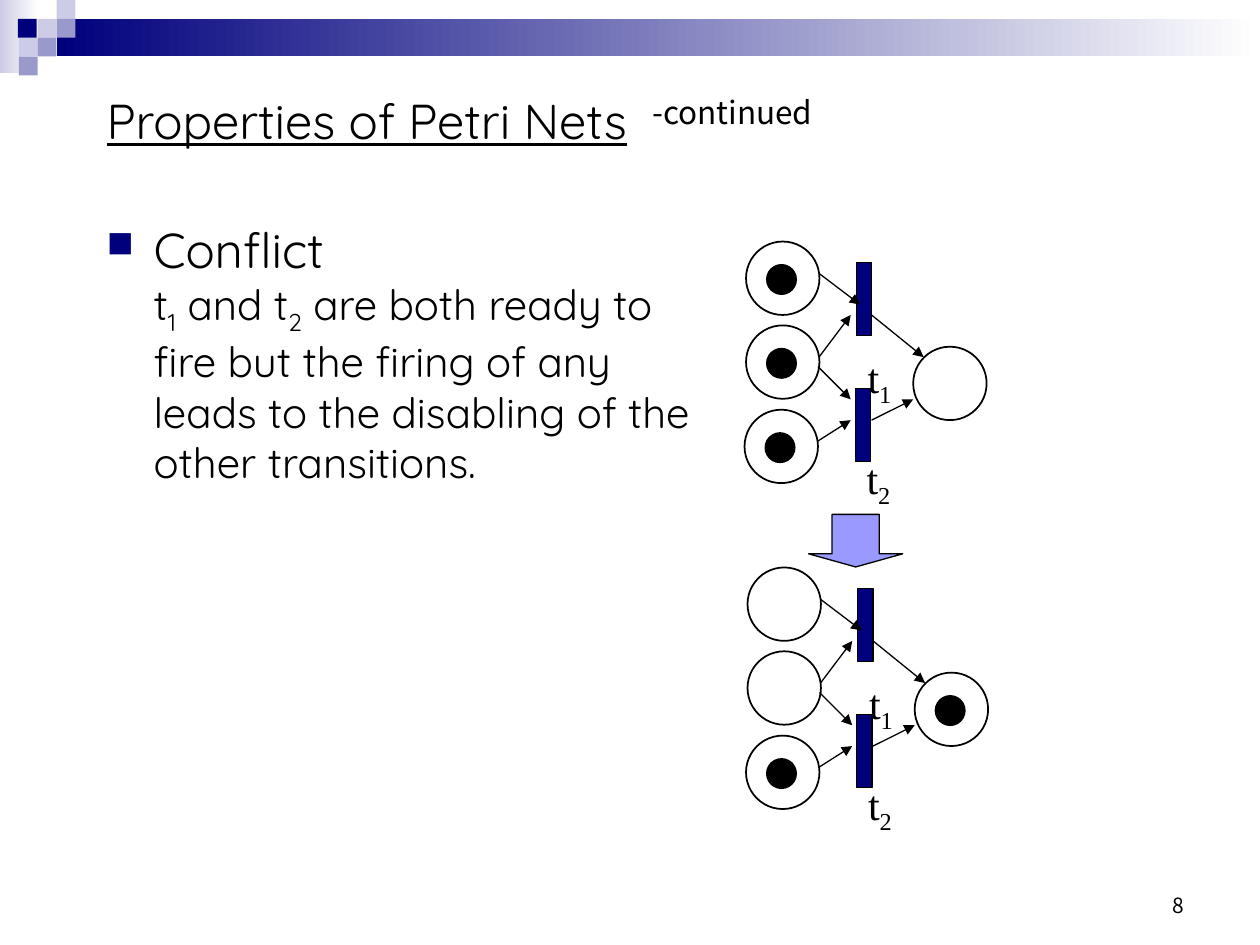
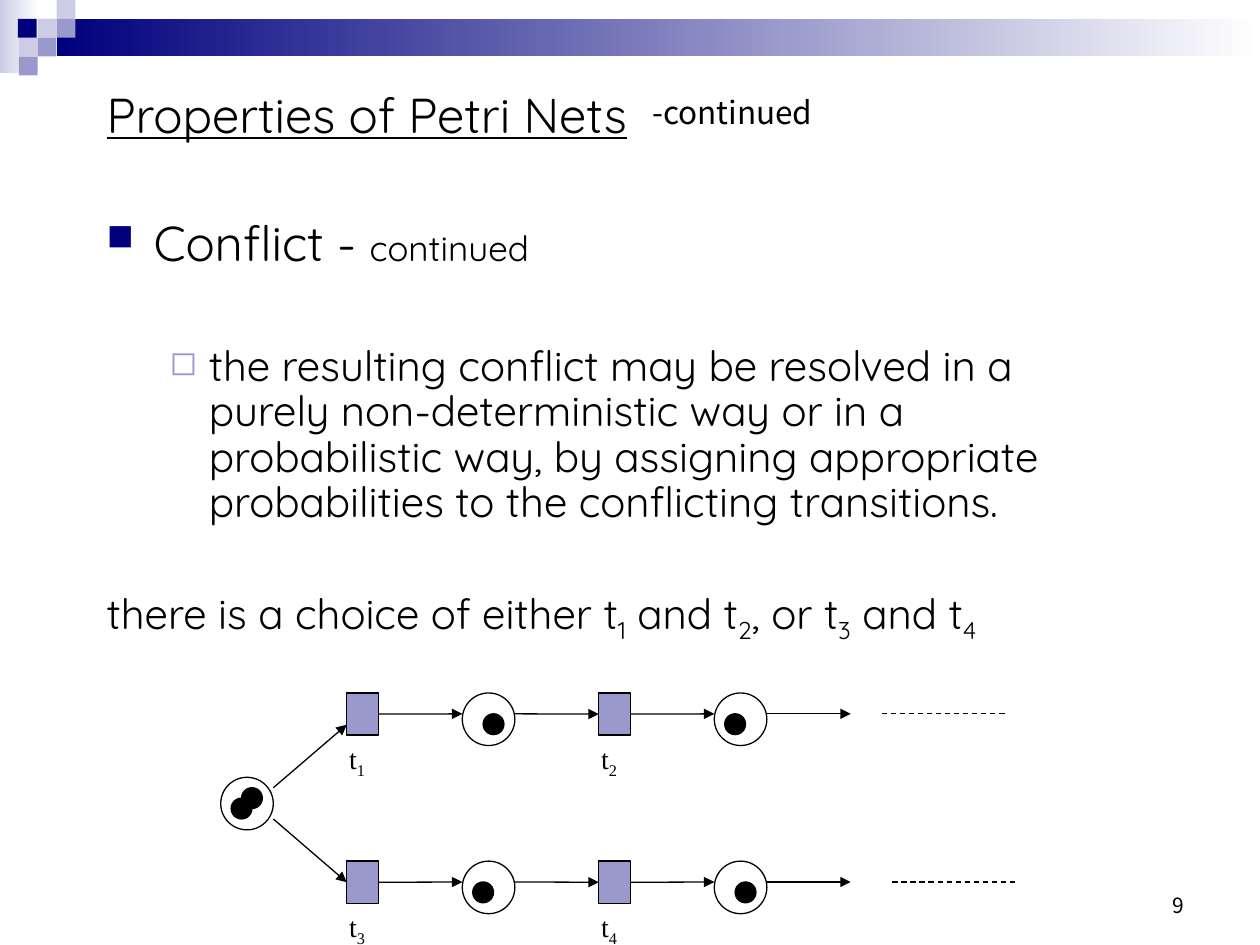
"""Builds two slides on conflict in Petri nets."""
from dataclasses import dataclass

from lxml import etree
from pptx import Presentation
from pptx import util as u
from pptx.dml.color import RGBColor
from pptx.enum import dml, shapes, text
from pptx.oxml.ns import qn


@dataclass(frozen=True)
class Theme:
    navy: str = "00007D"
    lilac: str = "9999CC"
    pale: str = "CCCCE6"
    arrow: str = "9999FF"
    white: str = "FFFFFF"
    black: str = "000000"
    sans: str = "Quicksand"
    plain: str = "Noto Sans CJK KR"
    serif: str = "Times New Roman"
    head: float = 28
    body: float = 24
    aside: float = 20
    suffix: float = 18
    small: float = 16
    number: float = 12
    thin: float = 0.75
    ring: float = 1


T = Theme()
PIXEL = 0.38
SHAPE = shapes.MSO_SHAPE
PIXELS = [(2, 1, T.pale), (3, 0, T.pale), (3, 1, T.lilac), (1, 2, T.pale),
          (1, 1, T.navy), (2, 2, T.lilac), (1, 3, T.lilac)]


def rgb(value):
    return RGBColor.from_string(value)


def assign(obj, values):
    for name, value in values.items():
        setattr(obj, name, value)


def add_sub(parent, tag, **attrs):
    return etree.SubElement(parent, qn(tag), attrs)


def add_shape(s, kind, x, y, w, h, fill=None, line=None):
    """fill is a colour, a (from, to) pair for a gradient, or None; line is a width."""
    sp = s.shapes.add_shape(kind, *map(u.Cm, (x, y, w, h)))
    sp.shadow.inherit = False
    if fill is None:
        sp.fill.background()
    elif isinstance(fill, tuple):
        sp.fill.gradient()
        sp.fill.gradient_angle = 0
        for stop, colour in zip(sp.fill.gradient_stops, fill):
            stop.color.rgb = rgb(colour)
    else:
        sp.fill.solid()
        sp.fill.fore_color.rgb = rgb(fill)
    if line is None:
        sp.line.fill.background()
    else:
        sp.line.color.rgb = rgb(T.black)
        sp.line.width = u.Pt(line)
    return sp


def add_line(s, x1, y1, x2, y2, start=None, end=None, dashed=False):
    """start leaves a box at its right side, end meets a box at its left side."""
    cx = s.shapes.add_connector(shapes.MSO_CONNECTOR.STRAIGHT,
                                *map(u.Cm, (x1, y1, x2, y2)))
    if start is not None:
        cx.begin_connect(start, 3)
    if end is not None:
        cx.end_connect(end, 1)
    cx.line.color.rgb = rgb(T.black)
    cx.line.width = u.Pt(T.thin)
    if dashed:
        cx.line.dash_style = dml.MSO_LINE.DASH
    else:
        add_sub(cx.line._get_or_add_ln(), "a:tailEnd", type="triangle")
    add_sub(cx._element.spPr, "a:effectLst")


def add_run(p, content, size, font, underline=False):
    """Each underscore lowers the character that follows it."""
    first, *rest = content.split("_")
    pieces = [(first, False)]
    for part in rest:
        pieces += [(part[0], True), (part[1:], False)]
    for piece, lowered in pieces:
        if not piece:
            continue
        r = p.add_run()
        r.text = piece
        assign(r.font, {"size": u.Pt(size), "name": font, "underline": underline})
        r.font.color.rgb = rgb(T.black)
        if lowered:
            r._r.get_or_add_rPr().set("baseline", "-25000")


def add_bullet(p, char, colour, percent, left, hang):
    pPr = p._p.get_or_add_pPr()
    pPr.set("marL", str(u.Cm(left)))
    pPr.set("indent", str(-u.Cm(hang)))
    add_sub(add_sub(pPr, "a:buClr"), "a:srgbClr", val=colour)
    add_sub(pPr, "a:buSzPct", val=str(percent * 1000))
    add_sub(pPr, "a:buChar", char=char)


def add_text(s, x, y, w, h, paras, font=T.sans, inset=(0.25, 0.13), wrap=True,
             anchor=text.MSO_ANCHOR.TOP):
    """Each paragraph is a dict of runs, optional bullet and paragraph format."""
    tf = s.shapes.add_textbox(*map(u.Cm, (x, y, w, h))).text_frame
    dx, dy = map(u.Cm, inset)
    assign(tf, {"word_wrap": wrap, "vertical_anchor": anchor, "margin_left": dx,
                "margin_right": dx, "margin_top": dy, "margin_bottom": dy})
    for i, para in enumerate(paras):
        p = tf.paragraphs[0] if i == 0 else tf.add_paragraph()
        assign(p, para.get("format", {}))
        if "bullet" in para:
            add_bullet(p, *para["bullet"])
        for run in para["runs"]:
            if run == "\n":
                p.add_line_break()
            else:
                add_run(p, run[0], run[1], font, para.get("underline", False))


def add_label(s, x, y, name, size):
    add_text(s, x, y, 1, 0.7, [{"runs": [(name, size)]}], T.serif, (0, 0), False)


def add_frame(prs, number, spacing):
    """Adds a slide with the shared band, title and slide number."""
    s = prs.slides.add_slide(prs.slide_layouts[6])
    add_shape(s, SHAPE.RECTANGLE, 0, 0, 0.79, 1.48, (T.pale, T.white))
    add_shape(s, SHAPE.RECTANGLE, 1.14, 0.38, 24.26, 0.76, (T.navy, T.white))
    for col, row, colour in PIXELS:
        add_shape(s, SHAPE.RECTANGLE, col * PIXEL + (0 if col > 1 or row != 1 else -0.02),
                  row * PIXEL, PIXEL, PIXEL, colour) if (col, row) == (1, 1) else \
            add_shape(s, SHAPE.RECTANGLE, col * PIXEL + 0.0, row * PIXEL,
                      PIXEL, PIXEL, colour)
    return s


def add_frame_text(s, number, spacing):
    add_text(s, 1.9, 1.7, 11.5, 1.6, [
        {"runs": [("Properties of Petri Nets", T.head)], "underline": True,
         "format": {"line_spacing": spacing}}])
    add_text(s, 12.9, 1.9, 6.78, 2.03, [
        {"runs": [("-continued", T.suffix)], "format": {"line_spacing": 0.8}}], T.plain)
    add_text(s, 18.2, 17.36, 5.93, 1.27, [
        {"runs": [(str(number), T.number)],
         "format": {"alignment": text.PP_ALIGN.RIGHT}}],
        T.plain, anchor=text.MSO_ANCHOR.BOTTOM)


def add_conflict_net(s, x, y, marked, result_marked):
    """Three input places, two transitions and one result place."""
    places = [(x + 0.03, y), (x + 0.03, y + 1.69), (x, y + 3.39), (x + 3.4, y + 2.12)]
    for (px, py), has_token in zip(places, [*marked, result_marked]):
        add_shape(s, SHAPE.OVAL, px, py, 1.48, 1.48, line=T.ring)
        if has_token:
            add_shape(s, SHAPE.OVAL, px + 0.42, py + 0.47, 0.59, 0.59, T.black, T.ring)
    bars = [("t_1", 2.25, 0.42, 1.79), ("t_2", 2.23, 2.96, 1.29)]
    for name, dx, dy, drop in bars:
        add_shape(s, SHAPE.RECTANGLE, x + dx, y + dy, 0.31, 1.48, T.navy, T.thin)
        add_label(s, x + dx + 0.23, y + dy + drop, name, T.body)
    arcs = [(1.5, 0.64, 2.33, 1.27), (2.56, 1.48, 3.61, 2.33), (1.48, 4.02, 2.14, 3.6),
            (2.56, 3.6, 3.4, 3.18), (1.5, 2.33, 2.14, 1.48), (1.48, 2.52, 2.14, 3.18)]
    for x1, y1, x2, y2 in arcs:
        add_line(s, x + x1, y + y1, x + x2, y + y2)


def add_choice_net(s):
    """One place that feeds two rows of transitions."""
    left, step = 6.99, 5.08
    rows = [(13.97, ("t_1", "t_2"), (0.42, 0.21), 17.78),
            (17.36, ("t_3", "t_4"), (0.21, 0.42), 17.99)]
    add_shape(s, SHAPE.OVAL, 4.45, 15.67, 1.06, 1.06, line=T.thin)
    for x, y in [(4.66, 16.09), (4.87, 15.88)]:
        add_shape(s, SHAPE.OVAL, x, y, 0.42, 0.42, T.black, T.thin)
    for y, names, token_offsets, dash_x in rows:
        mid = y + 0.42
        boxes = [add_shape(s, SHAPE.RECTANGLE, left + i * step, y, 0.64, 0.85,
                           T.lilac, T.thin) for i in range(len(names))]
        for i, (box, name, offset) in enumerate(zip(boxes, names, token_offsets)):
            x = left + i * step
            following = boxes[i + 1] if i + 1 < len(boxes) else None
            add_label(s, x + 0.05, y + 0.97, name, T.small)
            add_shape(s, SHAPE.OVAL, x + 2.33, y, 1.06, 1.06, line=T.thin)
            add_shape(s, SHAPE.OVAL, x + 2.33 + offset, y + 0.42, 0.42, 0.42,
                      T.black, T.thin)
            add_line(s, x + 0.64, mid, x + 2.33, mid, start=box)
            add_line(s, x + 3.39, mid, x + step, mid, end=following)
        add_line(s, dash_x, mid, dash_x + 2.54, mid, dashed=True)
        if y < 15:
            add_line(s, 5.51, 15.88, left, 14.61)
        else:
            add_line(s, 5.51, 16.51, left, mid, end=boxes[0])


def conflict_slide(prs):
    s = add_frame(prs, 8, 1.0)
    add_frame_text(s, 8, 1.0)
    add_text(s, 1.9, 4.3, 12.9, 6, [
        {"runs": [("Conflict", T.head), "\n",
                  ("t_1 and t_2 are both ready to fire but the firing of any "
                   "leads to the disabling of the other transitions.", T.body)],
         "bullet": ("■", T.navy, 75, 0.95, 0.95)}])
    add_conflict_net(s, 15.01, 4.87, (True, True, True), False)
    add_shape(s, SHAPE.DOWN_ARROW, 16.3, 10.37, 1.9, 1.06, T.arrow, T.thin).adjustments[1] = 0.25
    add_conflict_net(s, 15.04, 11.44, (False, False, True), True)


def choice_slide(prs):
    s = add_frame(prs, 9, 0.9)
    add_frame_text(s, 9, 0.9)
    add_text(s, 1.9, 4.28, 20.96, 9, [
        {"runs": [("Conflict - ", T.head), ("continued", T.aside)],
         "bullet": ("■", T.navy, 75, 0.95, 0.95), "format": {"line_spacing": 0.9}},
        {"runs": [("the resulting conflict may be resolved in a purely "
                   "non-deterministic way or in a probabilistic way, by assigning "
                   "appropriate probabilities to the conflicting transitions.", T.body)],
         "bullet": ("◻", T.lilac, 80, 2.06, 0.79),
         "format": {"line_spacing": 0.9, "space_before": u.Pt(42), "level": 1}},
        {"runs": [("there is a choice of either t_1 and t_2, or t_3 and t_4", T.body)],
         "format": {"line_spacing": 0.9, "space_before": u.Pt(35)}}])
    add_choice_net(s)


def main():
    prs = Presentation()
    prs.slide_width, prs.slide_height = u.Cm(25.4), u.Cm(19.05)
    conflict_slide(prs)
    choice_slide(prs)
    prs.save("out.pptx")


if __name__ == "__main__":
    main()
